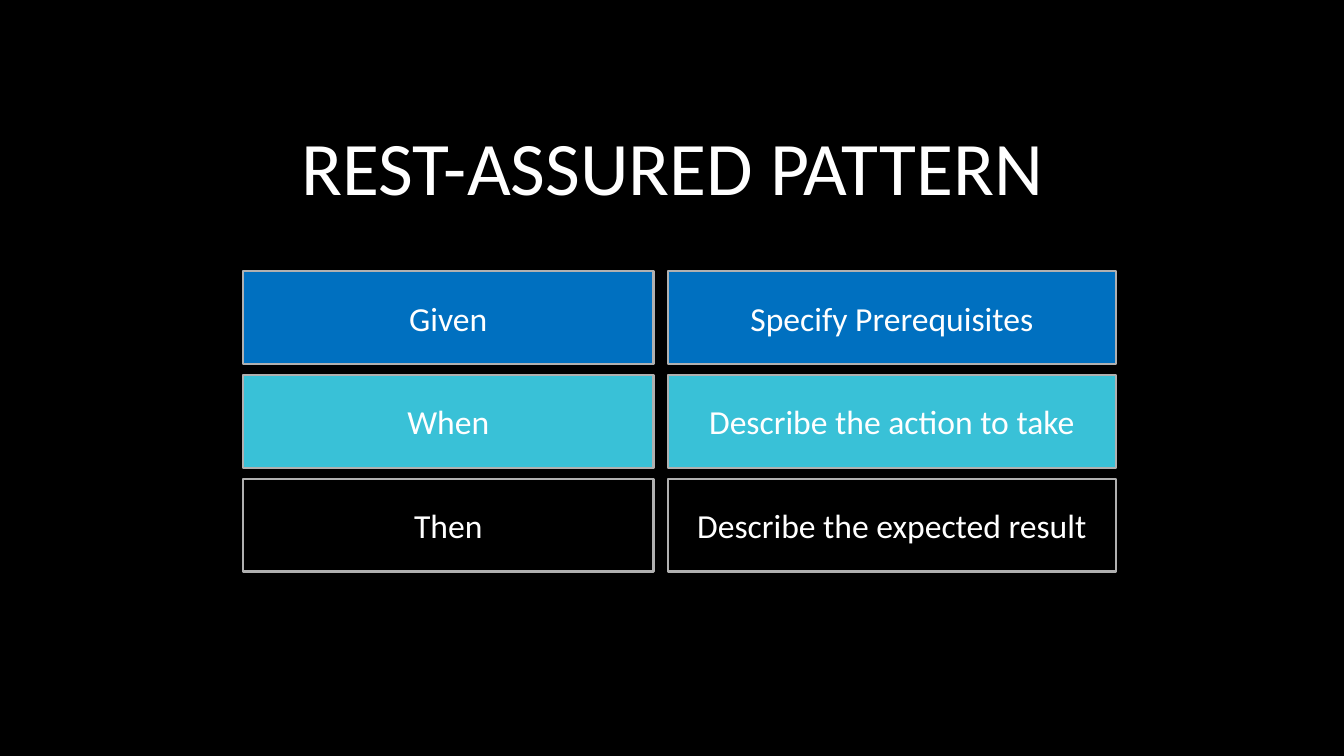
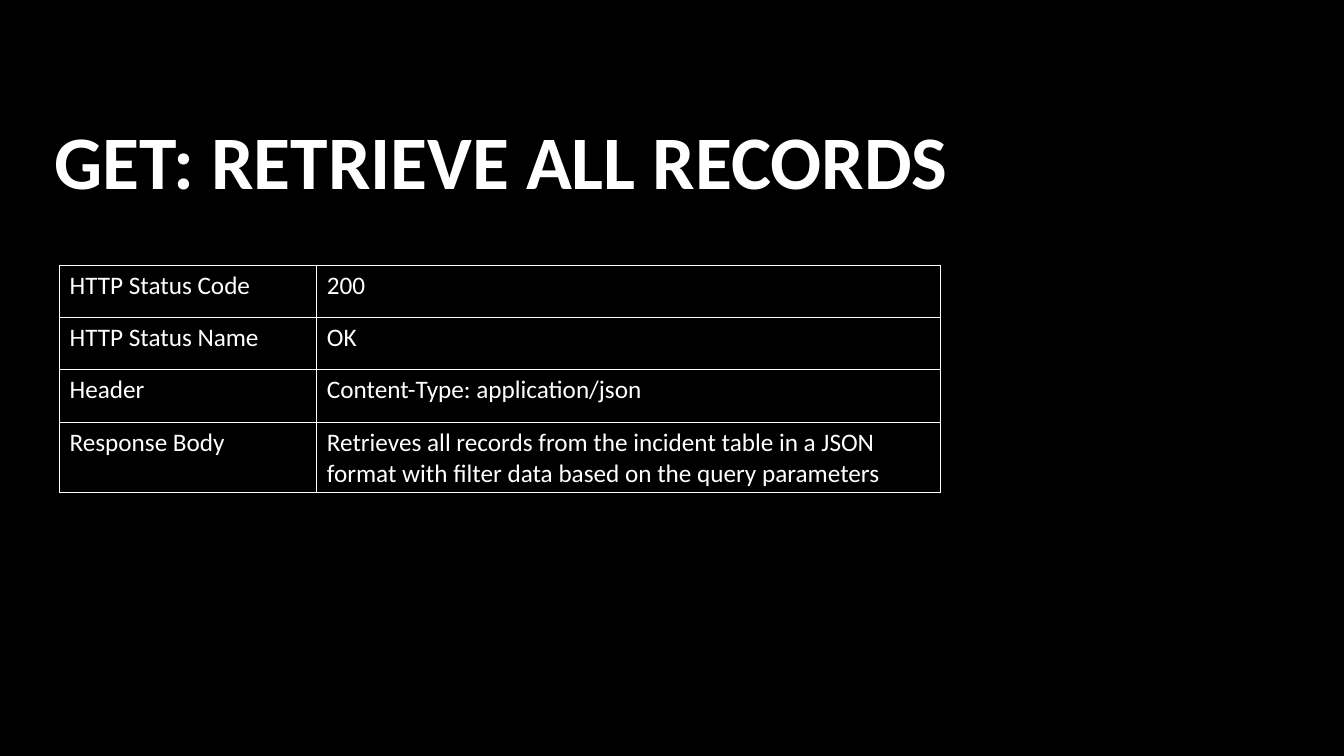
from lxml import etree
from pptx import Presentation
from pptx.dml.color import RGBColor
from pptx.enum.shapes import MSO_SHAPE
from pptx.enum.text import MSO_ANCHOR, PP_ALIGN
from pptx.oxml.ns import qn
from pptx.util import Inches, Pt

COLORS = {
    "background": "000000",
    "text": "FFFFFF",
    "outline": "B0B0B0",
    "blue": "0070C0",
    "teal": "39C1D7",
}
FONT = "Calibri"
SLIDE_WIDTH, SLIDE_HEIGHT = 13.33, 7.5

PATTERN_STEPS = [
    ("Given", "Specify Prerequisites", "blue"),
    ("When", "Describe the action to take", "teal"),
    ("Then", "Describe the expected result", "background"),
]
RESPONSE_ROWS = [
    ("HTTP Status Code", "200"),
    ("HTTP Status Name", "OK"),
    ("Header", "Content-Type: application/json"),
    ("Response Body", "Retrieves all records from the incident table in a JSON "
                      "format with filter data based on the query parameters"),
]


def color(name):
    return RGBColor.from_string(COLORS[name])


def write_text(text_frame, text, size, align=PP_ALIGN.LEFT, bold=False):
    text_frame.word_wrap = True
    paragraph = text_frame.paragraphs[0]
    paragraph.text = text
    paragraph.alignment = align
    paragraph.font.name = FONT
    paragraph.font.size = Pt(size)
    paragraph.font.bold = bold
    paragraph.font.color.rgb = color("text")


def add_titled_slide(presentation, title, box, align=PP_ALIGN.LEFT, bold=False):
    """Add a slide with the shared background and title style."""
    slide = presentation.slides.add_slide(presentation.slide_layouts[6])
    slide.background.fill.solid()
    slide.background.fill.fore_color.rgb = color("background")
    text_frame = slide.shapes.add_textbox(*map(Inches, box)).text_frame
    text_frame.vertical_anchor = MSO_ANCHOR.MIDDLE
    write_text(text_frame, title, 54, align, bold)
    return slide


def add_step_box(slide, text, fill, box):
    shape = slide.shapes.add_shape(MSO_SHAPE.RECTANGLE, *map(Inches, box))
    shape.shadow.inherit = False
    shape.fill.solid()
    shape.fill.fore_color.rgb = color(fill)
    shape.line.color.rgb = color("outline")
    shape.line.width = Pt(1.5)
    shape.text_frame.vertical_anchor = MSO_ANCHOR.MIDDLE
    write_text(shape.text_frame, text, 24, PP_ALIGN.CENTER)


def add_step_grid(slide, steps, box, column_gap=0.14, row_gap=0.11):
    """Fill the box with one row per step: keyword, then meaning."""
    left, top, width, height = box
    keyword_width = (width - column_gap) * 0.478
    meaning_left = left + keyword_width + column_gap
    meaning_width = left + width - meaning_left
    row_height = (height - row_gap * (len(steps) - 1)) / len(steps)
    for row, (keyword, meaning, fill) in enumerate(steps):
        row_top = top + row * (row_height + row_gap)
        add_step_box(slide, keyword, fill,
                     (left, row_top, keyword_width, row_height))
        add_step_box(slide, meaning, fill,
                     (meaning_left, row_top, meaning_width, row_height))


def add_cell_borders(cell):
    properties = cell._tc.get_or_add_tcPr()
    # Borders must come before the fill in the cell properties
    for index, side in enumerate(("lnL", "lnR", "lnT", "lnB")):
        line = etree.Element(qn(f"a:{side}"), w=str(Pt(1)))
        fill = etree.SubElement(line, qn("a:solidFill"))
        etree.SubElement(fill, qn("a:srgbClr"), val=COLORS["text"])
        properties.insert(index, line)


def add_response_table(slide, rows, box, label_share=0.292):
    """Two columns: a label and its value."""
    left, top, width, height = map(Inches, box)
    table = slide.shapes.add_table(
        len(rows), 2, left, top, width, height).table
    table.first_row = table.horz_banding = False
    table.columns[0].width = int(width * label_share)
    table.columns[1].width = width - table.columns[0].width
    for row, values in enumerate(rows):
        for column, value in enumerate(values):
            cell = table.cell(row, column)
            cell.fill.solid()
            cell.fill.fore_color.rgb = color("background")
            write_text(cell.text_frame, value, 18)
            add_cell_borders(cell)


def build_pattern_slide(presentation):
    slide = add_titled_slide(presentation, "REST-ASSURED PATTERN",
                             (0.92, 0.91, 11.5, 1.45), PP_ALIGN.CENTER)
    add_step_grid(slide, PATTERN_STEPS, (2.41, 2.69, 8.66, 2.98))


def build_response_slide(presentation):
    slide = add_titled_slide(presentation, "GET: RETRIEVE ALL RECORDS",
                             (0.44, 0.76, 9.67, 1.64), bold=True)
    add_response_table(slide, RESPONSE_ROWS, (0.59, 2.63, 8.74, 2.08))


def main():
    presentation = Presentation()
    presentation.slide_width = Inches(SLIDE_WIDTH)
    presentation.slide_height = Inches(SLIDE_HEIGHT)
    build_pattern_slide(presentation)
    build_response_slide(presentation)
    presentation.save("out.pptx")


if __name__ == "__main__":
    main()
